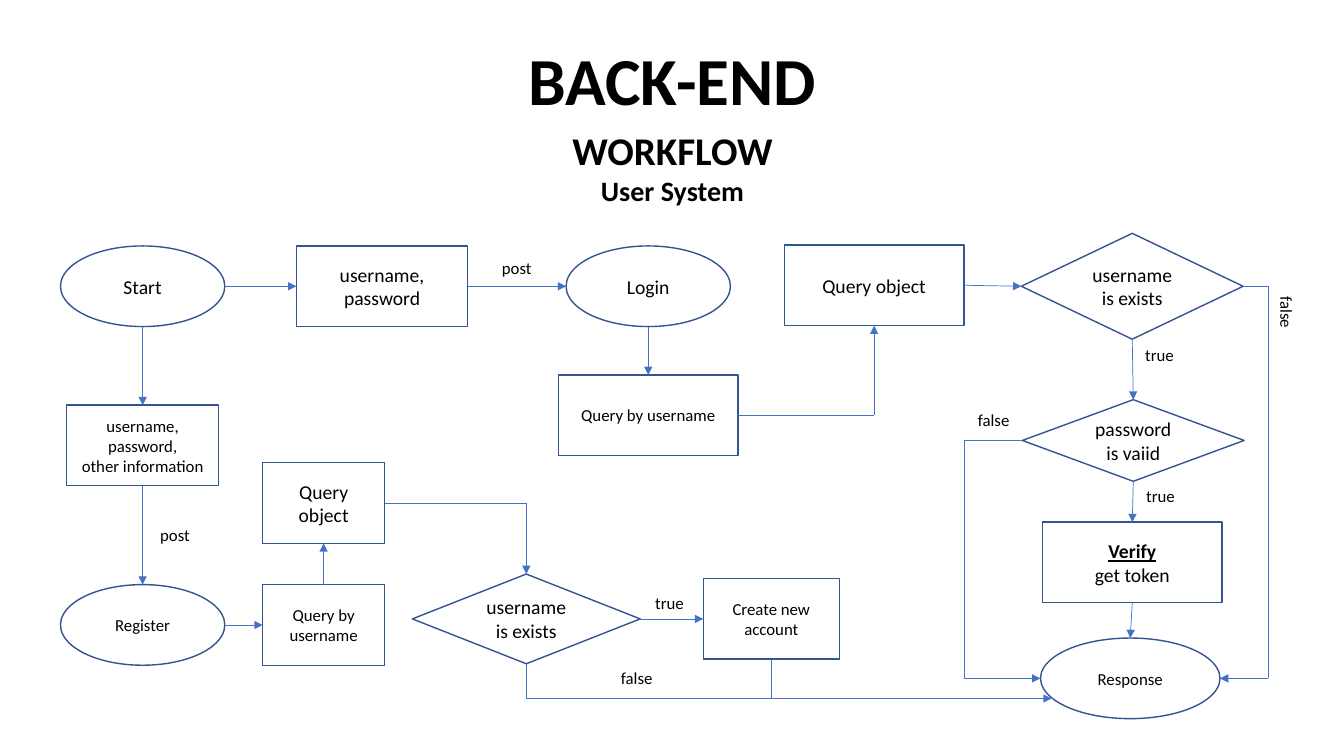
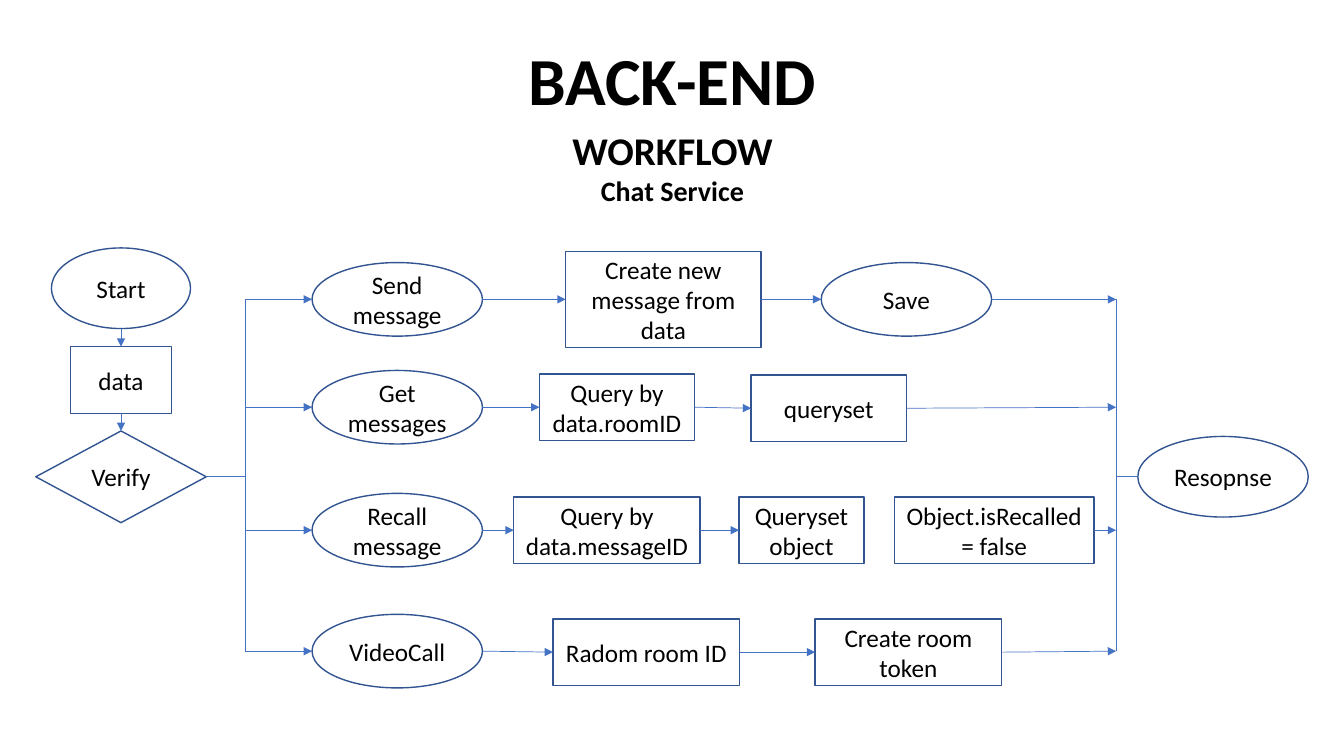
"""Build two back-end workflow slides: the user system and the chat service."""
from lxml.etree import SubElement
from pptx import Presentation
from pptx.dml.color import RGBColor
from pptx.enum.shapes import MSO_CONNECTOR, MSO_SHAPE
from pptx.enum.text import MSO_ANCHOR, PP_ALIGN
from pptx.oxml.ns import qn
from pptx.util import Inches, Pt

theme = {
    "ink": RGBColor.from_string("000000"),
    "edge": RGBColor.from_string("325491"),
    "wire": RGBColor.from_string("4472C4"),
    "edge width": Pt(1),
    "wire width": Pt(0.5),
    "base": {"name": "Calibri", "bold": False, "underline": False},
    "title": {"size": Pt(48), "bold": True},
    "head": {"size": Pt(28), "bold": True},
    "topic": {"size": Pt(20), "bold": True},
    "big": {"size": Pt(18)},
    "mid": {"size": Pt(14)},
    "key": {"size": Pt(14), "bold": True, "underline": True},
    "small": {"size": Pt(12)},
}

deck = Presentation()
deck.slide_width, deck.slide_height = Inches(13.33), Inches(7.5)
unit = deck.slide_height / 75
kinds = {"oval": MSO_SHAPE.OVAL, "box": MSO_SHAPE.RECTANGLE, "test": MSO_SHAPE.DIAMOND}
sides = {"top": (0, -0.5), "left": (-0.5, 0), "bottom": (0, 0.5), "right": (0.5, 0)}


def write(shape, text, looks, align=PP_ALIGN.CENTER):
    """Fill a shape with one styled paragraph per line of text."""
    frame = shape.text_frame
    frame.word_wrap = True
    for place, (line, look) in enumerate(zip(text.split("\n"), looks.split())):
        para = frame.add_paragraph() if place else frame.paragraphs[0]
        para.text, para.alignment = line, align
        for name, value in {**theme["base"], **theme[look]}.items():
            setattr(para.font, name, value)
        para.font.color.rgb = theme["ink"]


def wire(slide, nodes, tip, stops):
    """Join stops, each a grid point or a node's side, with straight lines."""
    points, pins = [], []
    for stop in stops:
        pin = None
        if isinstance(stop, str):
            name, side = stop.split()
            shape, kind, x, y, wide, high = nodes[name]
            across, down = sides[side]
            stop = (x + across * wide, y + down * high)
            site = list(sides).index(side) * (2 if kind == "oval" else 1)
            pin = {"id": str(shape.shape_id), "idx": str(site)}
        points.append([round(part * unit) for part in stop])
        pins.append(pin)
    for step in range(len(points) - 1):
        link = slide.shapes.add_connector(
            MSO_CONNECTOR.STRAIGHT, *points[step], *points[step + 1])
        link.line.color.rgb = theme["wire"]
        link.line.width = theme["wire width"]
        glue = link.element.find(".//" + qn("p:cNvCxnSpPr"))
        for tag, pin in (("a:stCxn", pins[step]), ("a:endCxn", pins[step + 1])):
            if pin:
                SubElement(glue, qn(tag), pin)
        form = link.element.find(qn("p:spPr"))
        if tip and step == len(points) - 2:
            SubElement(form.find(qn("a:ln")), qn("a:tailEnd"), type="triangle")
        SubElement(form, qn("a:effectLst"))


top, low = 28.4, 62
user = {
    "topic": "User System",
    "nodes": [
        ("start", "oval", 14.15, top, 16.3, 8, "mid", "Start"),
        ("creds", "box", 37.9, top, 17, 8, "mid", "username, password"),
        ("login", "oval", 64.3, top, 16.3, 8, "mid", "Login"),
        ("object", "box", 86.7, top - 0.1, 17.8, 8, "mid", "Query object"),
        ("exists", "test", 112.3, top, 22, 10.5, "mid", "username is exists"),
        ("query", "box", 64.3, 41.2, 17.8, 8, "small", "Query by username"),
        ("valid", "test", 112.4, 43.7, 22, 8.1, "mid", "password is vaiid"),
        ("token", "box", 112.3, 55.8, 17.8, 8, "key mid", "Verify\nget token"),
        ("reply", "oval", 112.1, 67.3, 17.8, 8, "small", "Response"),
        ("info", "box", 14.15, 44.2, 15.1, 8, "small small",
         "username, password,\nother information"),
        ("join", "oval", 14.15, low, 16.3, 8, "small", "Register"),
        ("lookup", "box", 32.1, low, 12.1, 8, "small", "Query by username"),
        ("found", "box", 32.1, 49.9, 12.1, 8, "mid", "Query object"),
        ("taken", "test", 52.2, 61.4, 22.6, 8.9, "mid", "username is exists"),
        ("create", "box", 76.5, 61.4, 13.5, 8, "small", "Create new account"),
    ],
    "wires": [
        (True, "start right", "creds left"),
        (True, "creds right", "login left"),
        (True, "start bottom", "info top"),
        (True, "info bottom", "join top"),
        (True, "login bottom", "query top"),
        (True, "query right", (86.7, 41.2), "object bottom"),
        (True, "object right", "exists left"),
        (True, "exists bottom", "valid top"),
        (True, "exists right", (125.8, top), (125.8, 67.3), "reply right"),
        (True, "valid left", (95.6, 43.7), (95.6, 67.3), "reply left"),
        (True, "valid bottom", "token top"),
        (True, "token bottom", "reply top"),
        (True, "join right", "lookup left"),
        (True, "lookup top", "found bottom"),
        (True, "found right", (52.2, 49.9), "taken top"),
        (True, "taken right", "create left"),
        (True, "taken bottom", (52.2, 69.3), (104.3, 69.3)),
        (False, "create bottom", (76.5, 69.3)),
    ],
    "labels": [
        ("post", 48.8, 25.1, 0), ("post", 14.9, 51.6, 0),
        ("true", 112.6, 33.7, 0), ("true", 112.7, 47.7, 0),
        ("true", 64, 58.3, 0), ("false", 96, 40.2, 0),
        ("false", 60.6, 65.8, 0), ("false", 123.5, 31.1, 90),
    ],
}

send, get, recall, call = 29.7, 40.4, 52.6, 64.6
fork, merge, main = 24.3, 110.7, 47.3
chat = {
    "topic": "Chat Service",
    "nodes": [
        ("start", "oval", 12, 28.6, 13.8, 8, "big", "Start"),
        ("data", "box", 12, 37.7, 10, 6.6, "big", "data"),
        ("verify", "test", 12, main, 16.9, 9.1, "big", "Verify"),
        ("reply", "oval", 121.3, main, 16.9, 8, "big", "Resopnse"),
        ("send", "oval", 39.4, send, 16.9, 7.3, "big", "Send message"),
        ("make", "box", 65.8, send, 19.4, 9.5, "big", "Create new message from data"),
        ("save", "oval", 89.9, send, 16.9, 7.3, "big", "Save"),
        ("get", "oval", 39.4, get, 16.9, 7.3, "big", "Get messages"),
        ("room", "box", 61.2, get, 15.4, 6.6, "big", "Query by data.roomID"),
        ("set", "box", 82.2, get + 0.1, 15.4, 6.6, "big", "queryset"),
        ("recall", "oval", 39.4, recall, 16.9, 7.3, "big", "Recall message"),
        ("seek", "box", 60.2, recall, 18.5, 6.6, "big", "Query by data.messageID"),
        ("object", "box", 79.5, recall, 12.4, 6.6, "big", "Queryset object"),
        ("flag", "box", 98.6, recall, 19.8, 6.6, "big", "Object.isRecalled = false"),
        ("call", "oval", 39.4, call, 16.9, 7.3, "big", "VideoCall"),
        ("random", "box", 64.1, call + 0.1, 18.5, 6.6, "big", "Radom room ID"),
        ("token", "box", 90.1, call + 0.1, 18.5, 6.6, "big", "Create room token"),
    ],
    "wires": [
        (True, "start bottom", "data top"),
        (True, "data bottom", "verify top"),
        (False, "verify right", (fork, main)),
        (False, (fork, send), (fork, call)),
        (False, (merge, send), (merge, call)),
        (False, (merge, main), "reply left"),
    ],
    "labels": [],
}
lanes = [
    (send, ["send", "make", "save"], "save"),
    (get, ["get", "room", "set"], "set"),
    (recall, ["recall", "seek", "object"], "flag"),
    (call, ["call", "random", "token"], "token"),
]
for row, chain, last in lanes:
    chat["wires"].append((True, (fork, row), f"{chain[0]} left"))
    for near, far in zip(chain, chain[1:]):
        chat["wires"].append((True, f"{near} right", f"{far} left"))
    chat["wires"].append((True, f"{last} right", (merge, row)))

for page in (user, chat):
    slide = deck.slides.add_slide(deck.slide_layouts[5])
    title = slide.shapes.title
    frame = {"left": 5.2, "top": 3.3, "width": 123, "height": 9.1}
    for name, value in frame.items():
        setattr(title, name, round(value * unit))
    title.text_frame.vertical_anchor = MSO_ANCHOR.MIDDLE
    write(title, "BACK-END", "title")
    head = slide.shapes.add_textbox(*[round(part * unit) for part in (31, 12, 71.4, 9.1)])
    write(head, f"WORKFLOW\n{page['topic']}", "head topic")

    nodes = {}
    for name, kind, x, y, wide, high, looks, text in page["nodes"]:
        area = (x - wide / 2, y - high / 2, wide, high)
        shape = slide.shapes.add_shape(kinds[kind], *[round(part * unit) for part in area])
        shape.shadow.inherit = False
        shape.fill.background()
        shape.line.color.rgb = theme["edge"]
        shape.line.width = theme["edge width"]
        shape.text_frame.vertical_anchor = MSO_ANCHOR.MIDDLE
        write(shape, text, looks)
        nodes[name] = (shape, kind, x, y, wide, high)

    for tip, *stops in page["wires"]:
        wire(slide, nodes, tip, stops)

    for text, x, y, turn in page["labels"]:
        label = slide.shapes.add_textbox(*[round(part * unit) for part in (x, y, 8.3, 3)])
        label.rotation = turn
        write(label, text, "small", PP_ALIGN.LEFT)

deck.save("out.pptx")
